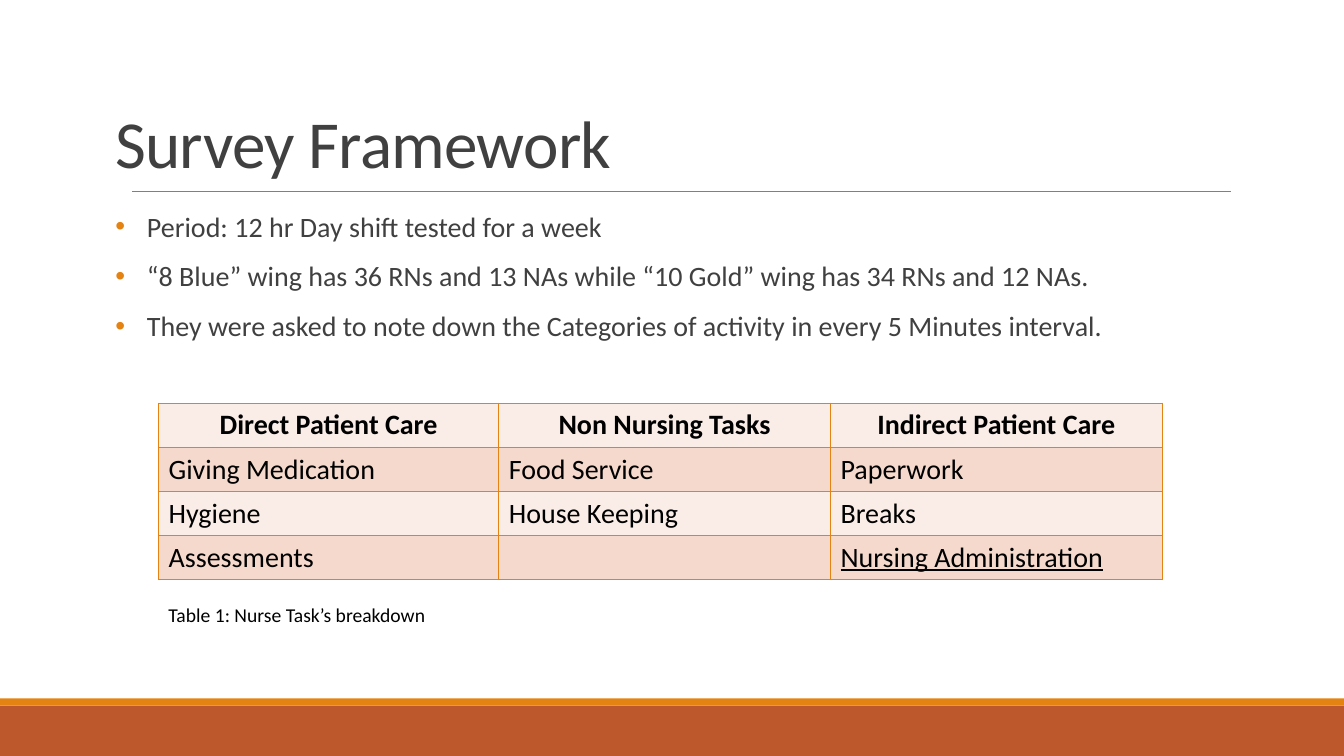
from lxml import etree
from pptx import Presentation
from pptx import util as u
from pptx.dml.color import RGBColor
from pptx.enum import shapes, text
from pptx.oxml.ns import qn

PX = 9525
FONT = "Calibri"
ORANGE, RUST, GREY, DARK, BLACK = "E48312", "BD582C", "808080", "404040", "000000"
BANDS = ["FAEDE7", "F5D9CC"]

BULLETS = [
    "Period: 12 hr Day shift tested for a week",
    "“8 Blue” wing has 36 RNs and 13 NAs while “10 Gold” wing has 34 RNs and 12 NAs.",
    "They were asked to note down the Categories of activity in every 5 Minutes interval.",
]
TASKS = [
    ["Direct Patient Care", "Non Nursing Tasks", "Indirect Patient Care"],
    ["Giving Medication", "Food Service", "Paperwork"],
    ["Hygiene", "House Keeping", "Breaks"],
    ["Assessments", "", "Nursing Administration"],
]
COLUMN_WIDTHS = [324, 316, 316]
ROW_HEIGHT = 42


def px(*lengths):
    return [u.Emu(length * PX) for length in lengths]


def color(hex_string):
    return RGBColor.from_string(hex_string)


def add_xml(parent, tag, **attributes):
    return etree.SubElement(parent, qn(tag), attributes)


def format_runs(paragraph, size, hex_string, bold=False):
    for run in paragraph.runs:
        run.font.name = FONT
        run.font.size = u.Pt(size)
        run.font.bold = bold
        run.font.color.rgb = color(hex_string)


def add_bar(slide, top, height, fill):
    bar = slide.shapes.add_shape(shapes.MSO_SHAPE.RECTANGLE, *px(0, top, 1280, height))
    bar.shadow.inherit = False
    bar.fill.solid()
    bar.fill.fore_color.rgb = color(fill)
    bar.line.fill.background()


def add_rule(slide, left, right, y):
    rule = slide.shapes.add_connector(
        shapes.MSO_CONNECTOR.STRAIGHT, *px(left, y, right, y))
    rule.line.color.rgb = color(GREY)
    rule.line.width = u.Pt(0.5)
    add_xml(rule._element.spPr, "a:effectLst")


def set_title(slide, wording):
    title = slide.shapes.title
    title.left, title.top, title.width, title.height = px(100, 95, 1056, 83)
    frame = title.text_frame
    frame.text = wording
    frame.auto_size = text.MSO_AUTO_SIZE.NONE
    frame.vertical_anchor = text.MSO_ANCHOR.BOTTOM
    paragraph = frame.paragraphs[0]
    paragraph.alignment = text.PP_ALIGN.LEFT
    paragraph.line_spacing = 0.85
    format_runs(paragraph, 48, DARK)
    paragraph.runs[0].font._element.set("spc", "-50")


def add_bullets(slide, lines):
    frame = slide.shapes.add_textbox(*px(110, 198, 1056, 422)).text_frame
    frame.word_wrap = True
    frame.margin_left = frame.margin_right = 0
    frame.text = "\n".join(lines)
    for paragraph in frame.paragraphs:
        paragraph.line_spacing = 0.9
        paragraph.space_before = u.Pt(12)
        paragraph.space_after = u.Pt(2)
        format_runs(paragraph, 20, DARK)
        properties = paragraph._p.get_or_add_pPr()
        indent = 30 * PX
        properties.set("marL", str(indent))
        properties.set("indent", str(-indent))
        add_xml(add_xml(properties, "a:buClr"), "a:srgbClr", val=ORANGE)
        add_xml(properties, "a:buFont", typeface="Arial")
        add_xml(properties, "a:buChar", char="•")


def add_borders(cell):
    properties = cell._tc.get_or_add_tcPr()
    for side in ("a:lnL", "a:lnR", "a:lnT", "a:lnB"):
        line = add_xml(properties, side, w=str(u.Pt(1)))
        add_xml(add_xml(line, "a:solidFill"), "a:srgbClr", val=ORANGE)


def add_task_table(slide, rows):
    size = sum(COLUMN_WIDTHS), ROW_HEIGHT * len(rows)
    table = slide.shapes.add_table(
        len(rows), len(COLUMN_WIDTHS), *px(151, 384, *size)).table
    for column, width in zip(table.columns, px(*COLUMN_WIDTHS)):
        column.width = width
    for row_index, row in enumerate(rows):
        is_header = row_index == 0
        for column_index, wording in enumerate(row):
            cell = table.cell(row_index, column_index)
            add_borders(cell)
            cell.fill.solid()
            cell.fill.fore_color.rgb = color(BANDS[row_index % 2])
            cell.text_frame.text = wording
            paragraph = cell.text_frame.paragraphs[0]
            if is_header:
                paragraph.alignment = text.PP_ALIGN.CENTER
            format_runs(paragraph, 20, BLACK, bold=is_header)
    last_cell = table.cell(len(rows) - 1, len(COLUMN_WIDTHS) - 1)
    last_cell.text_frame.paragraphs[0].runs[0].font.underline = True


def add_caption(slide, wording):
    frame = slide.shapes.add_textbox(*px(151, 569, 271, 33)).text_frame
    frame.word_wrap = False
    frame.auto_size = text.MSO_AUTO_SIZE.SHAPE_TO_FIT_TEXT
    frame.text = wording
    format_runs(frame.paragraphs[0], 14, BLACK)


def main():
    presentation = Presentation()
    presentation.slide_width, presentation.slide_height = px(1280, 720)
    slide = presentation.slides.add_slide(presentation.slide_layouts[5])
    add_bar(slide, 672, 48, RUST)
    add_bar(slide, 665, 7, ORANGE)
    add_rule(slide, 126, 1172, 182)
    add_bullets(slide, BULLETS)
    set_title(slide, "Survey Framework")
    add_task_table(slide, TASKS)
    add_caption(slide, "Table 1: Nurse Task’s breakdown")
    presentation.save("out.pptx")


if __name__ == "__main__":
    main()
